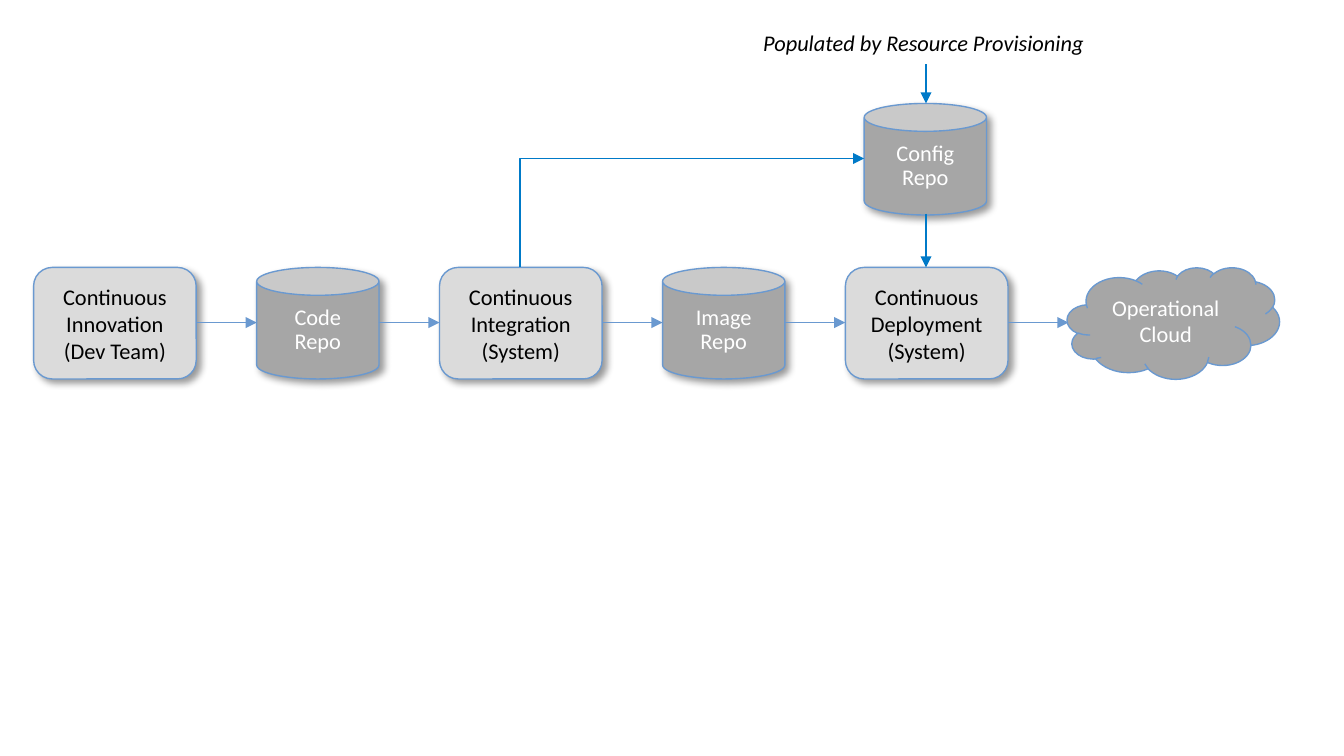
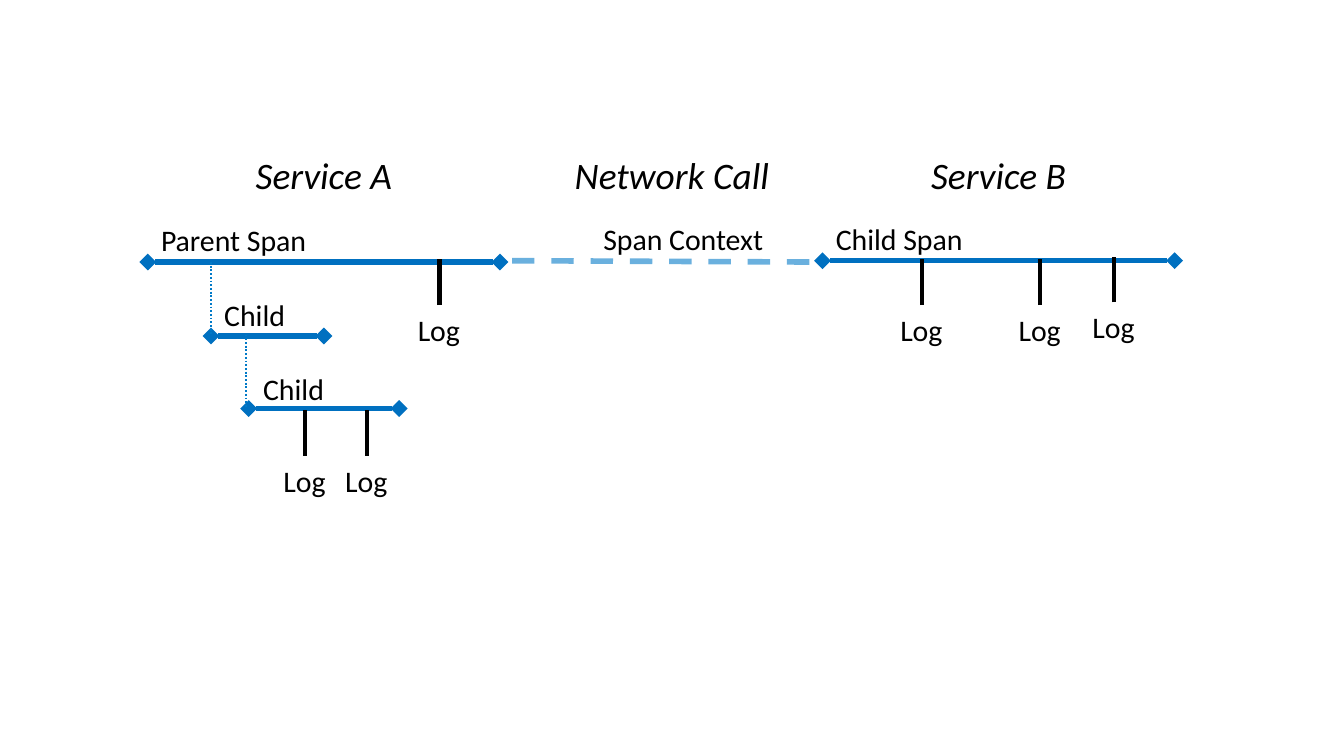
from dataclasses import dataclass

import pptx
import pptx.util
import pptx.dml.color
import pptx.enum.dml
import pptx.enum.shapes
import pptx.enum.text
import pptx.oxml
import pptx.oxml.ns
from lxml import etree

Inches = pptx.util.Inches
Pt = pptx.util.Pt
qn = pptx.oxml.ns.qn
Shape = pptx.enum.shapes.MSO_SHAPE
Link = pptx.enum.shapes.MSO_CONNECTOR
Dash = pptx.enum.dml.MSO_LINE
Align = pptx.enum.text.PP_ALIGN


@dataclass(frozen=True)
class Theme:
    font: str = "Calibri"
    black: str = "000000"
    white: str = "FFFFFF"
    pale: str = "DBDBDB"
    gray: str = "A6A6A6"
    edge: str = "6A99D0"
    flow: str = "007AC8"
    span: str = "0070C0"
    call: str = "6AB0DE"
    small: int = 12
    label: int = 16
    head: int = 20


THEME = Theme()


def rgb(code):
    return pptx.dml.color.RGBColor.from_string(code)


def write(frame, text, size=THEME.label, color=THEME.black, slant=False,
          align=None, space=None):
    """Fill a text frame, one paragraph for each line of text."""
    for i, part in enumerate(text.split("\n")):
        para = frame.add_paragraph() if i else frame.paragraphs[0]
        para.alignment = align
        para.line_spacing = space
        run = para.add_run()
        run.text = part
        font = run.font
        font.name, font.size, font.italic = THEME.font, Pt(size), slant
        font.color.rgb = rgb(color)


class Board:
    """The theme, the deck and the slide being drawn."""

    def __init__(self, theme):
        self.theme = theme
        self.deck = pptx.Presentation()
        # Wide page, 16 to 9
        self.deck.slide_width = Inches(10)
        self.deck.slide_height = Inches(10) * 9 // 16
        self.home = None

    def page(self):
        self.home = self.deck.slides.add_slide(self.deck.slide_layouts[6]).shapes

    def block(self, kind, x, y, w, h, text, fill, inset=None, shade=True, **fmt):
        shape = self.home.add_shape(kind, Inches(x), Inches(y), Inches(w), Inches(h))
        shape.fill.solid()
        shape.fill.fore_color.rgb = rgb(fill)
        shape.line.color.rgb = rgb(self.theme.edge)
        shape.line.width = Pt(0.75)
        shape.shadow.inherit = False
        if shade:
            self.shade(shape)
        frame = shape.text_frame
        frame.word_wrap = True
        frame.vertical_anchor = pptx.enum.text.MSO_ANCHOR.MIDDLE
        if inset:
            frame.margin_left = frame.margin_right = Inches(inset)
            frame.margin_top = frame.margin_bottom = Inches(inset)
        write(frame, text, size=self.theme.small, align=Align.CENTER, **fmt)

    def shade(self, shape):
        glow = etree.SubElement(
            shape._element.spPr.find(qn("a:effectLst")), qn("a:outerShdw"),
            blurRad=str(Pt(4)), dist=str(Pt(3)), dir="2700000",
            algn="tl", rotWithShape="0")
        tint = etree.SubElement(glow, qn("a:srgbClr"), val=self.theme.black)
        etree.SubElement(tint, qn("a:alpha"), val="40000")

    def step(self, x, y, text):
        self.block(Shape.ROUNDED_RECTANGLE, x, y, 1.21, 0.83, text,
                   self.theme.pale, inset=0.13)

    def store(self, x, y, text):
        self.block(Shape.CAN, x, y, 0.91, 0.83, text, self.theme.gray,
                   inset=0.13, color=self.theme.white, space=0.9)

    def text(self, x, y, w, h, text, **fmt):
        box = self.home.add_textbox(Inches(x), Inches(y), Inches(w), Inches(h))
        box.text_frame.word_wrap = False
        box.text_frame.auto_size = pptx.enum.text.MSO_AUTO_SIZE.SHAPE_TO_FIT_TEXT
        write(box.text_frame, text, **fmt)

    def line(self, x1, y1, x2, y2, color, width=0.75, dash=None, head=None, tail=None):
        wire = self.home.add_connector(
            Link.STRAIGHT, Inches(x1), Inches(y1), Inches(x2), Inches(y2))
        wire.line.color.rgb = rgb(color)
        wire.line.width = Pt(width)
        if dash:
            wire.line.dash_style = dash
        props = wire._element.spPr
        for tag, kind in (("a:headEnd", head), ("a:tailEnd", tail)):
            if kind:
                etree.SubElement(props.find(qn("a:ln")), qn(tag), type=kind)
        etree.SubElement(props, qn("a:effectLst"))
        return wire

    def arrow(self, x1, y1, x2, y2, color):
        return self.line(x1, y1, x2, y2, color, tail="triangle")

    def bend(self, x1, y1, x2, y2, color):
        """Arrow that goes up, then right: a turned one-corner connector."""
        mid_x, mid_y = (x1 + x2) / 2, (y1 + y2) / 2
        dx, dy = (y1 - y2) / 2, (x2 - x1) / 2
        wire = self.arrow(mid_x + dx, mid_y + dy, mid_x - dx, mid_y - dy, color)
        props = wire._element.spPr
        props.find(qn("a:xfrm")).set("rot", "5400000")
        props.find(qn("a:prstGeom")).set("prst", "bentConnector2")

    def span(self, x1, x2, y):
        self.line(x1, y, x2, y, self.theme.span, 3, head="diamond", tail="diamond")

    def log(self, x, y):
        page = self.home
        self.home = page.add_group_shape().shapes
        self.text(x - 0.26, y, 0.52, 0.37, "Log")
        self.line(x, y, x, y - 0.34, self.theme.black, 2.25)
        self.home = page


def draw_flow(board):
    theme = board.theme
    board.page()
    top, mid, pitch = 1.99, 2.4, 3.02

    # Steps and stores in turn
    steps = ("Continuous Innovation\n(Dev Team)",
             "Continuous Integration (System)",
             "Continuous Deployment (System)")
    for i, text in enumerate(steps):
        board.step(0.25 + i * pitch, top, text)
        board.arrow(1.46 + i * pitch, mid, 1.91 + i * pitch, mid, theme.edge)
    for i, text in enumerate(("Code\nRepo", "Image\nRepo")):
        board.store(1.91 + i * pitch, top, text)
        board.arrow(2.82 + i * pitch, mid, 3.27 + i * pitch, mid, theme.edge)
    board.block(Shape.CLOUD, 7.94, top, 1.58, 0.83, "Operational Cloud",
                theme.gray, shade=False, color=theme.white)

    # Config branch
    board.store(6.43, 0.77, "Config\nRepo")
    board.arrow(6.89, 1.59, 6.89, top, theme.flow)
    board.bend(3.87, top, 6.43, 1.18, theme.flow)
    board.text(5.58, 0.17, 2.62, 0.3, "Populated by Resource Provisioning",
               size=theme.small, slant=True)
    board.arrow(6.89, 0.48, 6.89, 0.77, theme.flow)


def draw_trace(board):
    theme = board.theme
    board.page()

    # Column heads
    for x, w, text in ((1.8, 1.22, "Service A"), (4.17, 1.66, "Network Call"),
                       (6.82, 1.22, "Service B")):
        board.text(x, 1.08, w, 0.44, text, size=theme.head, slant=True,
                   align=Align.CENTER)

    # Spans and their names
    for x1, x2, y in ((1.1, 3.72, 1.95), (1.57, 2.41, 2.5),
                      (1.85, 2.97, 3.04), (6.12, 8.74, 1.94)):
        board.span(x1, x2, y)
    for x, y, w, text in ((1.1, 1.6, 1.3, "Parent Span"), (1.57, 2.16, 0.66, "Child"),
                          (1.86, 2.71, 0.66, "Child"), (6.12, 1.59, 1.15, "Child Span"),
                          (4.39, 1.59, 1.41, "Span Context")):
        board.text(x, y, w, 0.37, text)

    # Links from parent to child, and across the network
    for x, y1, y2 in ((1.57, 1.95, 2.5), (1.83, 2.49, 3.04)):
        board.line(x, y1, x, y2, theme.flow, 1, Dash.ROUND_DOT)
    board.line(3.81, 1.94, 6.12, 1.95, theme.call, 3, Dash.DASH)

    # Log marks
    for x, y in ((3.27, 2.27), (2.27, 3.39), (2.73, 3.39),
                 (8.29, 2.25), (6.86, 2.27), (7.74, 2.27)):
        board.log(x, y)


def main():
    board = Board(THEME)
    draw_flow(board)
    draw_trace(board)
    board.deck.save("out.pptx")


if __name__ == "__main__":
    main()
